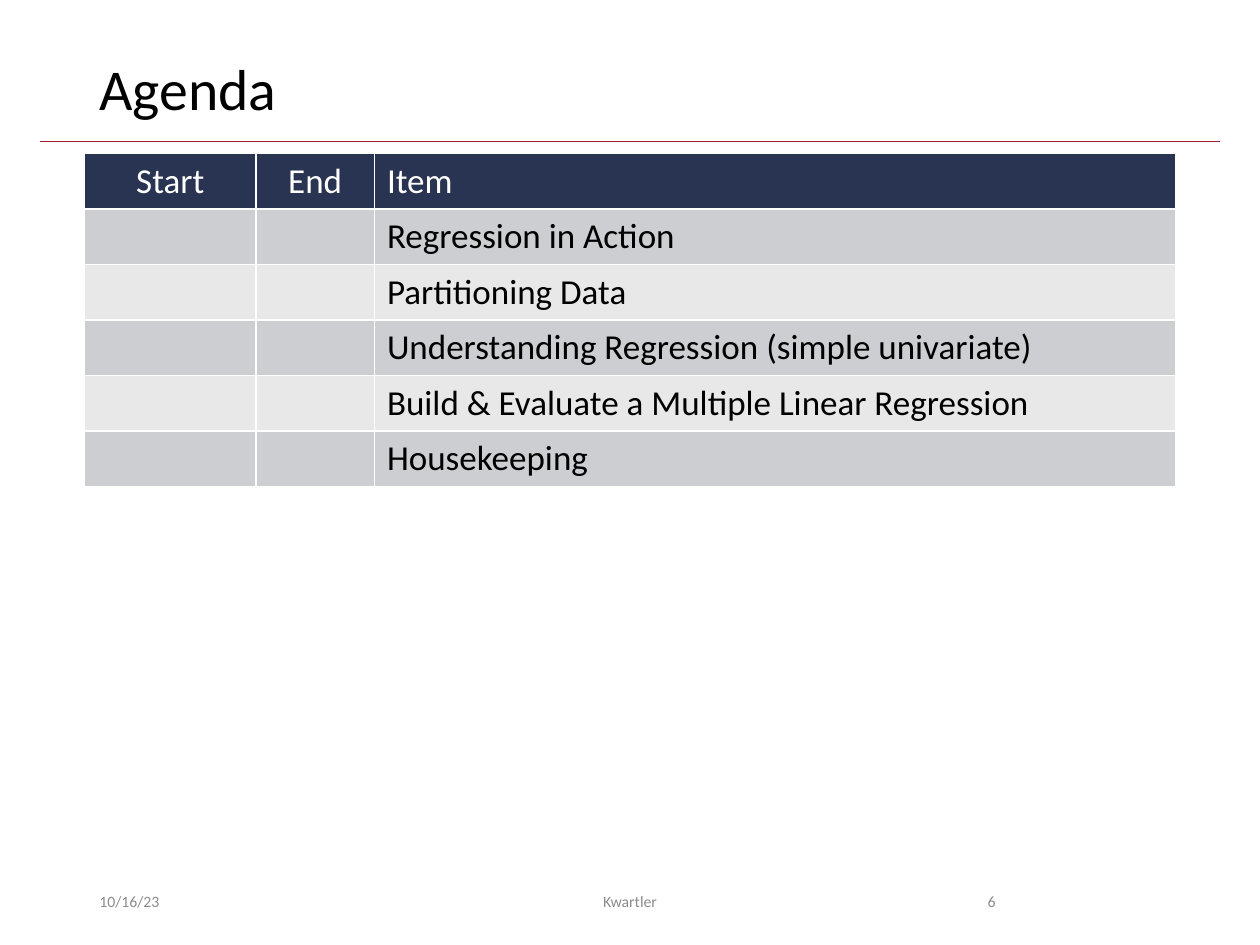
from lxml.etree import SubElement
from pptx import Presentation
from pptx.dml.color import RGBColor
from pptx.enum.shapes import MSO_CONNECTOR
from pptx.enum.text import MSO_ANCHOR, PP_ALIGN
from pptx.oxml.ns import qn
from pptx.util import Pt

BLACK = RGBColor(0x00, 0x00, 0x00)
WHITE = RGBColor(0xFF, 0xFF, 0xFF)
GRAY = RGBColor(0x8C, 0x8C, 0x8C)
CRIMSON = RGBColor(0xA5, 0x1C, 0x30)
NAVY = RGBColor(0x29, 0x33, 0x52)
BANDS = (RGBColor(0xCD, 0xCE, 0xD1), RGBColor(0xE8, 0xE8, 0xE9))
FONT = "Calibri"

TITLE = "Agenda"
HEADER = ("Start", "End", "Item")
ITEMS = (
    "Regression in Action",
    "Partitioning Data",
    "Understanding Regression (simple univariate)",
    "Build & Evaluate a Multiple Linear Regression",
    "Housekeeping",
)
COLUMN_WIDTHS = (97.9, 67.7, 457.9)
COLUMN_ALIGNMENTS = (PP_ALIGN.CENTER, PP_ALIGN.CENTER, PP_ALIGN.LEFT)
ROW_HEIGHT = 31.2
# text, left, width, alignment
FOOTERS = (
    ("10/16/23", 49.7, 162, PP_ALIGN.LEFT),
    ("Kwartler", 238.3, 243.4, PP_ALIGN.CENTER),
    ("6", 508.3, 67.7, PP_ALIGN.RIGHT),
)


def write(frame, text, size, color, align=PP_ALIGN.LEFT, anchor=None, spacing=None):
    if anchor is not None:
        frame.vertical_anchor = anchor
    paragraph = frame.paragraphs[0]
    paragraph.alignment = align
    paragraph.line_spacing = spacing
    run = paragraph.add_run()
    run.text = text
    run.font.name = FONT
    run.font.size = Pt(size)
    run.font.bold = False
    run.font.color.rgb = color


def style_cell(cell, color):
    """Give a cell white borders and a solid fill."""
    properties = cell._tc.get_or_add_tcPr()
    for side in ("a:lnL", "a:lnR", "a:lnT", "a:lnB"):
        border = SubElement(properties, qn(side), w=str(Pt(1)))
        fill = SubElement(border, qn("a:solidFill"))
        SubElement(fill, qn("a:srgbClr"), val=str(WHITE))
    cell.fill.solid()
    cell.fill.fore_color.rgb = color


def add_agenda(slide):
    rows = [HEADER] + [("", "", item) for item in ITEMS]
    frame = slide.shapes.add_table(
        len(rows), len(HEADER), Pt(48.4), Pt(87.8),
        Pt(sum(COLUMN_WIDTHS)), Pt(ROW_HEIGHT * len(rows)))
    table = frame.table
    for column, width in zip(table.columns, COLUMN_WIDTHS):
        column.width = Pt(width)
    for row_index, row in enumerate(rows):
        is_header = row_index == 0
        table.rows[row_index].height = Pt(ROW_HEIGHT)
        for column_index, text in enumerate(row):
            cell = table.cell(row_index, column_index)
            style_cell(cell, NAVY if is_header else BANDS[(row_index - 1) % 2])
            if text:
                write(cell.text_frame, text, 20, WHITE if is_header else BLACK,
                      align=COLUMN_ALIGNMENTS[column_index])


def main():
    presentation = Presentation()
    presentation.slide_width, presentation.slide_height = Pt(720), Pt(540)
    slide = presentation.slides.add_slide(presentation.slide_layouts[5])

    rule = slide.shapes.add_connector(
        MSO_CONNECTOR.STRAIGHT, Pt(23), Pt(80.6), Pt(697), Pt(80.6))
    rule.line.color.rgb = CRIMSON
    rule.line.width = Pt(0.5)
    SubElement(rule._element.spPr, qn("a:effectLst"))

    title = slide.shapes.title
    title.left, title.top, title.width, title.height = Pt(49.7), Pt(28.8), Pt(620.6), Pt(46.8)
    write(title.text_frame, TITLE, 33, BLACK, anchor=MSO_ANCHOR.MIDDLE, spacing=0.9)

    add_agenda(slide)

    for text, left, width, align in FOOTERS:
        box = slide.shapes.add_textbox(Pt(left), Pt(500.4), Pt(width), Pt(28.8))
        box.text_frame.word_wrap = True
        write(box.text_frame, text, 9, GRAY, align=align, anchor=MSO_ANCHOR.MIDDLE)

    presentation.save("out.pptx")


if __name__ == "__main__":
    main()
